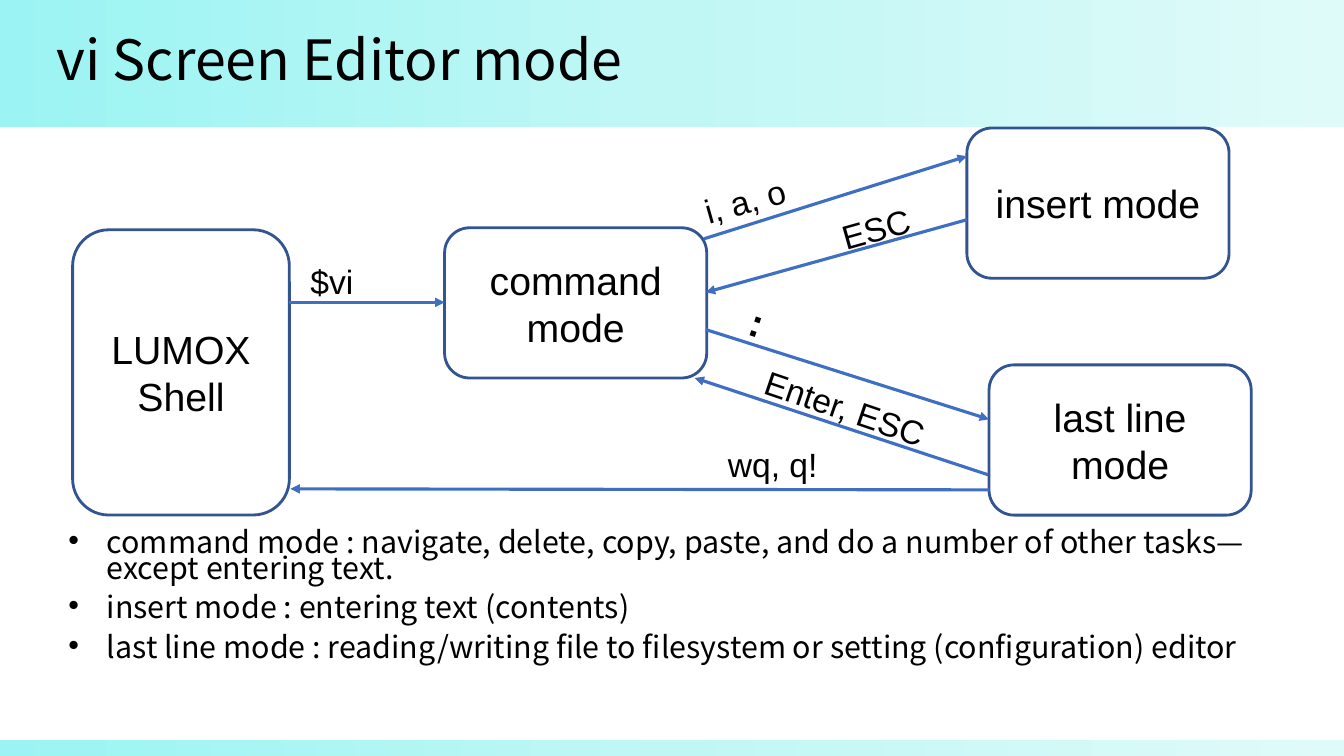
"""Draw the vi editor mode diagram slide."""
from copy import deepcopy
from dataclasses import dataclass

from lxml.etree import SubElement
from pptx import Presentation
from pptx.dml.color import RGBColor
from pptx.enum.shapes import MSO_CONNECTOR, MSO_SHAPE
from pptx.enum.text import MSO_ANCHOR, MSO_AUTO_SIZE, PP_ALIGN
from pptx.oxml.ns import qn
from pptx.slide import Slide
from pptx.text.text import TextFrame
from pptx.util import Pt

PX = 9144
WIDTH, HEIGHT = 1333, 750
COLOURS = {
    "text": "000000", "outline": "325491", "arrow": "3F6FC3",
    "band_start": "9BF4F3", "band_middle": "C0F7F5", "band_end": "DFFBF9",
}
SANS = "Noto Sans CJK KR"


@dataclass(frozen=True)
class Mode:
    text: str
    left: int
    top: int
    width: int = 260
    height: int = 149


@dataclass(frozen=True)
class Arrow:
    start: tuple[int, int]
    end: tuple[int, int]


@dataclass(frozen=True)
class Label:
    text: str
    left: int
    top: int
    width: int
    height: int = 50
    rotation: float = 0
    size: int = 24
    bold: bool = False


MODES = [
    Mode("last line mode", 981, 362),
    Mode("command mode", 441, 226),
    Mode("insert mode", 959, 127),
    Mode("LUMOX\nShell", 72, 228, 215, 283),
]
ARROWS = [
    Arrow((980, 471), (689, 375)),
    Arrow((959, 218), (700, 290)),
    Arrow((698, 237), (959, 155)),
    Arrow((700, 327), (981, 416)),
    Arrow((287, 300), (441, 300)),
    Arrow((981, 486), (288, 485)),
]
RISING, FALLING = 344.2, 18.8
LABELS = [
    Label("i, a, o", 688, 172, 115, rotation=RISING),
    Label("ESC", 824, 198, 115, rotation=RISING),
    Label("Enter, ESC", 745, 385, 219, rotation=FALLING),
    Label(":", 734, 296, 64, 57, FALLING, 28, True),
    Label("wq, q!", 712, 435, 118),
    Label("$vi", 298, 254, 118),
]
NOTES = [
    "command mode : navigate, delete, copy, paste, and do a number of other tasks—except entering text.",
    "insert mode : entering text (contents)",
    "last line mode : reading/writing file to filesystem or setting (configuration) editor",
]


def colour(name: str) -> RGBColor:
    """Return a named colour."""
    return RGBColor.from_string(COLOURS[name])


def scaled(*lengths: int) -> list[int]:
    """Turn px lengths into EMU."""
    return [length * PX for length in lengths]


def format_text(frame: TextFrame, size: float, font: str = "Arial", bold: bool = False) -> None:
    """Give every run of a frame the same font."""
    frame.word_wrap = True
    for para in frame.paragraphs:
        for span in para.runs:
            span.font.name = font
            span.font.size = Pt(size)
            span.font.bold = bold
            span.font.color.rgb = colour("text")


def draw_band(page: Slide, top: int, height: int) -> None:
    """Draw a full-width gradient band behind everything else."""
    band = page.shapes.add_shape(MSO_SHAPE.RECTANGLE, *scaled(0, top, WIDTH, height))
    band.shadow.inherit = False
    band.line.fill.background()
    band.fill.gradient()
    band.fill.gradient_angle = 0
    stops = band._element.spPr.find(qn("a:gradFill")).find(qn("a:gsLst"))
    stops.append(deepcopy(stops[0]))
    names = ("band_start", "band_middle", "band_end")
    for index, (stop, name) in enumerate(zip(band.fill.gradient_stops, names)):
        stop.position = index / 2
        stop.color.rgb = colour(name)
    page.shapes._spTree.insert(2, band._element)


def draw_title(page: Slide, text: str) -> None:
    """Place and format the title."""
    title = page.shapes.title
    title.left, title.top, title.width, title.height = scaled(46, 27, 1258, 70)
    frame = title.text_frame
    frame.text = text
    frame.vertical_anchor = MSO_ANCHOR.MIDDLE
    frame.auto_size = MSO_AUTO_SIZE.NONE
    frame.paragraphs[0].alignment = PP_ALIGN.LEFT
    frame.paragraphs[0].line_spacing = 0.9
    format_text(frame, 39.6, SANS)


def draw_notes(page: Slide, notes: list[str]) -> None:
    """Draw the bulleted explanations."""
    frame = page.shapes.add_textbox(*scaled(46, 524, 1258, 176)).text_frame
    frame.text = "\n".join(notes)
    format_text(frame, 21.7, SANS)
    for para in frame.paragraphs:
        para.line_spacing = 0.7
        para.space_before = Pt(10)
        properties = para._p.get_or_add_pPr()
        properties.set("marL", str(50 * PX))
        properties.set("indent", str(-38 * PX))
        SubElement(properties, qn("a:buFont"), typeface="Arial")
        SubElement(properties, qn("a:buChar"), char="•")


def draw_mode(page: Slide, mode: Mode) -> None:
    """Draw a rounded box for one mode."""
    box = page.shapes.add_shape(
        MSO_SHAPE.ROUNDED_RECTANGLE, *scaled(mode.left, mode.top, mode.width, mode.height))
    box.shadow.inherit = False
    box.fill.background()
    box.line.color.rgb = colour("outline")
    box.line.width = Pt(2)
    frame = box.text_frame
    frame.text = mode.text
    frame.vertical_anchor = MSO_ANCHOR.MIDDLE
    for para in frame.paragraphs:
        para.alignment = PP_ALIGN.CENTER
    format_text(frame, 28)


def draw_arrow(page: Slide, arrow: Arrow) -> None:
    """Draw a transition between modes."""
    line = page.shapes.add_connector(MSO_CONNECTOR.STRAIGHT, *scaled(*arrow.start, *arrow.end))
    line.line.color.rgb = colour("arrow")
    line.line.width = Pt(2.25)
    SubElement(line.line._get_or_add_ln(), qn("a:tailEnd"), type="triangle")
    SubElement(line._element.spPr, qn("a:effectLst"))


def draw_label(page: Slide, label: Label) -> None:
    """Draw the keys that cause a transition."""
    box = page.shapes.add_textbox(*scaled(label.left, label.top, label.width, label.height))
    box.rotation = label.rotation
    box.text_frame.text = label.text
    box.text_frame.auto_size = MSO_AUTO_SIZE.SHAPE_TO_FIT_TEXT
    format_text(box.text_frame, label.size, bold=label.bold)


def main() -> None:
    """Build and save the deck."""
    deck = Presentation()
    deck.slide_width, deck.slide_height = scaled(WIDTH, HEIGHT)
    page = deck.slides.add_slide(deck.slide_layouts[5])
    draw_band(page, 0, 126)
    draw_band(page, 734, 16)
    draw_title(page, "vi Screen Editor mode")
    draw_notes(page, NOTES)
    for mode in MODES:
        draw_mode(page, mode)
    for arrow in ARROWS:
        draw_arrow(page, arrow)
    for label in LABELS:
        draw_label(page, label)
    deck.save("out.pptx")


if __name__ == "__main__":
    main()
